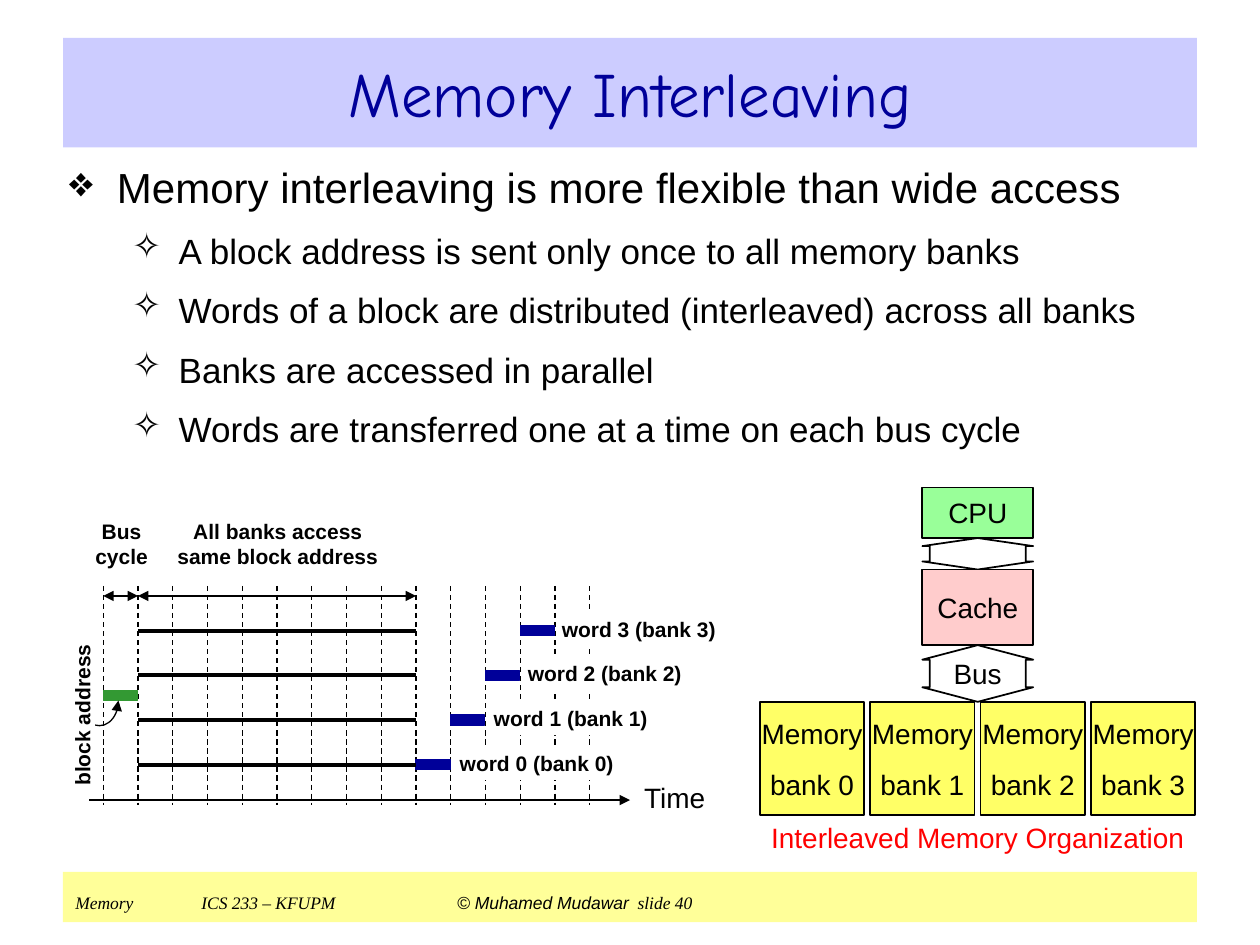
from lxml.etree import SubElement
from pptx import Presentation
from pptx.dml.color import RGBColor
from pptx.enum.dml import MSO_LINE
from pptx.enum.shapes import MSO_CONNECTOR, MSO_SHAPE
from pptx.enum.text import MSO_ANCHOR, PP_ALIGN
from pptx.oxml.ns import qn
from pptx.util import Inches, Pt

COLORS = {
    "black": "000000", "white": "FFFFFF", "navy": "000099", "red": "FF0000",
    "lavender": "CCCCFF", "footer": "FFFF99", "bank": "FFFF66",
    "cpu": "99FF99", "cache": "FFCCCC", "address": "339933",
}
COLORS = {name: RGBColor.from_string(value) for name, value in COLORS.items()}


def add_box(left, top, width, height, text="", fill=None, line=None, weight=1,
            size=16, color="black", bold=False, gap=0, preset=MSO_SHAPE.RECTANGLE):
    position = [Inches(value) for value in (left, top, width, height)]
    if fill:
        shape = slide.shapes.add_shape(preset, *position)
        shape.shadow.inherit = False
        shape.fill.solid()
        shape.fill.fore_color.rgb = COLORS[fill]
        if line:
            shape.line.color.rgb = COLORS[line]
            shape.line.width = Pt(weight)
        else:
            shape.line.fill.background()
    else:
        shape = slide.shapes.add_textbox(*position)
    text_frame = shape.text_frame
    text_frame.word_wrap = True
    text_frame.vertical_anchor = MSO_ANCHOR.MIDDLE
    text_frame.margin_left = text_frame.margin_right = 0
    text_frame.margin_top = text_frame.margin_bottom = 0
    if text:
        text_frame.text = text
        for index, paragraph in enumerate(text_frame.paragraphs):
            paragraph.alignment = PP_ALIGN.CENTER
            paragraph.space_before = Pt(gap if index else 0)
            for run in paragraph.runs:
                run.font.name = "Arial"
                run.font.size = Pt(size)
                run.font.bold = bold
                run.font.color.rgb = COLORS[color]
    return shape


def add_line(x1, y1, x2, y2, weight=0.75, ends=()):
    connector = slide.shapes.add_connector(
        MSO_CONNECTOR.STRAIGHT, Inches(x1), Inches(y1), Inches(x2), Inches(y2))
    connector.line.color.rgb = COLORS["black"]
    connector.line.width = Pt(weight)
    properties = connector.element.spPr
    for end in ends:
        SubElement(properties.find(qn("a:ln")), qn(f"a:{end}"), type="triangle")
    SubElement(properties, qn("a:effectLst"))
    return connector


presentation = Presentation()
presentation.slide_width = Inches(10)
presentation.slide_height = Inches(7.5)
slide = presentation.slides.add_slide(presentation.slide_layouts[5])

footer = add_box(0.5, 6.92, 9, 0.4, fill="footer")
footer.text_frame.margin_left = Inches(0.1)
paragraph = footer.text_frame.paragraphs[0]
paragraph.alignment = PP_ALIGN.LEFT
tabs = SubElement(paragraph._p.get_or_add_pPr(), qn("a:tabLst"))
for stop in (1, 3.03):
    SubElement(tabs, qn("a:tab"), pos=str(Inches(stop)), algn="l")
for text, font_name, size, italic in (
    ("Memory\tICS 233 – KFUPM\t", "Times New Roman", 10, True),
    ("© Muhamed Mudawar", "Arial", 10, True),
    (" ", "Arial", 18, False),
    ("slide 40", "Times New Roman", 10, True),
):
    run = paragraph.add_run()
    run.text = text
    run.font.name = font_name
    run.font.size = Pt(size)
    run.font.italic = italic
    run.font.color.rgb = COLORS["black"]

title = slide.shapes.title
title.left, title.top = Inches(0.5), Inches(0.3)
title.width, title.height = Inches(9), Inches(0.87)
title.fill.solid()
title.fill.fore_color.rgb = COLORS["lavender"]
title.text_frame.text = "Memory Interleaving"
title.text_frame.vertical_anchor = MSO_ANCHOR.MIDDLE
paragraph = title.text_frame.paragraphs[0]
paragraph.alignment = PP_ALIGN.CENTER
font = paragraph.runs[0].font
font.name = "Comic Neue"
font.size = Pt(36)
font.color.rgb = COLORS["navy"]

body = slide.shapes.add_textbox(Inches(0.45), Inches(1.23), Inches(9), Inches(2.58))
body.text_frame.word_wrap = True
body.text_frame.text = "\n".join((
    "Memory interleaving is more flexible than wide access",
    "A block address is sent only once to all memory banks",
    "Words of a block are distributed (interleaved) across all banks",
    "Banks are accessed in parallel",
    "Words are transferred one at a time on each bus cycle",
))
for index, paragraph in enumerate(body.text_frame.paragraphs):
    level = 1 if index else 0
    bullet, margin, indent, size = (("❖", 0.38, -0.38, 24), ("✧", 0.87, -0.37, 20))[level]
    paragraph.level = level
    paragraph.space_before = Pt(10 * level)
    properties = paragraph._p.get_or_add_pPr()
    properties.set("marL", str(Inches(margin)))
    properties.set("indent", str(Inches(indent)))
    SubElement(properties, qn("a:buChar"), char=bullet)
    font = paragraph.runs[0].font
    font.name = "Arial"
    font.size = Pt(size)
    font.color.rgb = COLORS["black"]

for bank in range(4):
    add_box(6.03 + 0.876 * bank, 5.57, 0.83, 0.9, f"Memory\nbank {bank}",
            "bank", "black", gap=10)
add_box(6.03, 6.47, 3.46, 0.35, "Interleaved Memory Organization", color="red")
for top, height in ((5.12, 0.45), (4.27, 0.25)):
    bus = add_box(7.32, top, 0.88, height, fill="white", line="black",
                  preset=MSO_SHAPE.UP_DOWN_ARROW)
    guides = bus.element.spPr.find(qn("a:prstGeom")).find(qn("a:avLst"))
    guides.clear()
    for name, value in (("adj1", 86700), ("adj2", 25700)):
        SubElement(guides, qn("a:gd"), name=name, fmla=f"val {value}")
add_box(7.41, 5.12, 0.7, 0.45, "Bus")
add_box(7.32, 3.87, 0.88, 0.4, "CPU", "cpu", "black")
add_box(7.32, 4.52, 0.88, 0.6, "Cache", "cache", "black")

cycle_width = 3.86 / 14
cycles = [0.82 + cycle_width * cycle for cycle in range(15)]
add_line(0.71, 6.35, 5, 6.35, ends=["tailEnd"])
add_box(5.04, 6.19, 0.63, 0.27, "Time")
for x in cycles:
    add_line(x, 4.65, x, 6.39).line.dash_style = MSO_LINE.DASH
for start, end in ((0, 1), (1, 9)):
    add_line(cycles[start], 4.73, cycles[end], 4.73, ends=["headEnd", "tailEnd"])
add_box(0.71, 4.06, 0.51, 0.51, "Bus\ncycle", size=12, bold=True)
add_box(1.38, 4.06, 1.65, 0.51, "All banks access\nsame block address", size=12, bold=True)

for bank in range(4):
    y = 6.07 - 0.355 * bank
    add_box(3.61 + 0.27 * bank, y - 0.15, 1.3, 0.27, f"word {bank} (bank {bank})",
            "white", size=12, bold=True)
    word = add_box(cycles[9 + bank], y - 0.04, 0.27, 0.08,
                   fill="navy", line="navy", weight=0.75)
    access = add_line(cycles[1], y, cycles[9], y, 2.25)
    if bank == 0:
        access.end_connect(word, 1)

add_box(0.82, 5.48, 0.27, 0.08, fill="address", line="address", weight=0.75)
add_box(0.02, 5.58, 1.26, 0.19, "block address", size=12, bold=True).rotation = 270
pointer = slide.shapes.add_shape(
    MSO_SHAPE.ARC, Inches(0.64), Inches(5.36), Inches(0.3), Inches(0.4))
pointer.shadow.inherit = False
pointer.adjustments[0] = 0
pointer.adjustments[1] = 60
pointer.fill.background()
pointer.line.color.rgb = COLORS["black"]
pointer.line.width = Pt(0.75)
SubElement(pointer.element.spPr.find(qn("a:ln")), qn("a:headEnd"), type="triangle")

presentation.save("out.pptx")
